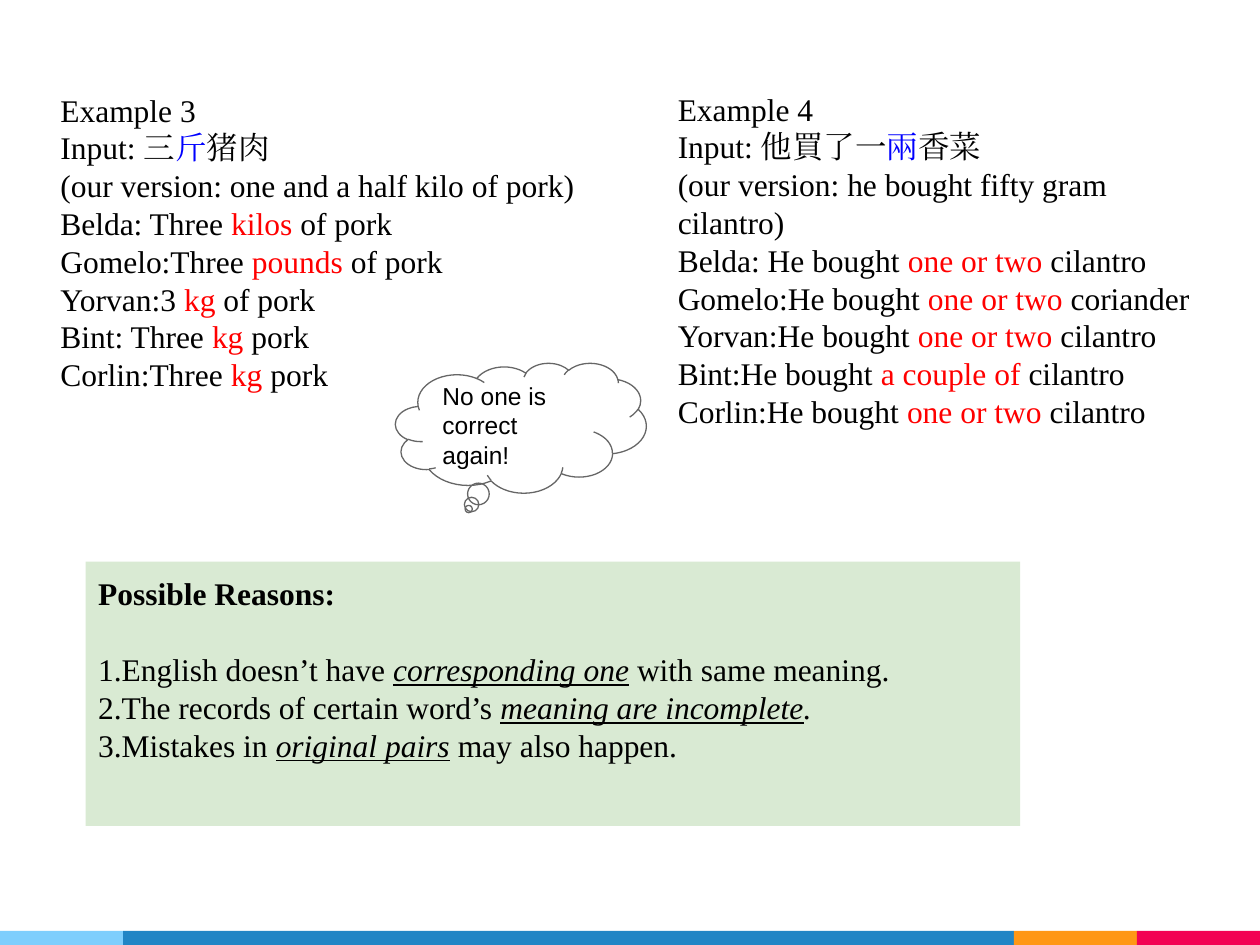
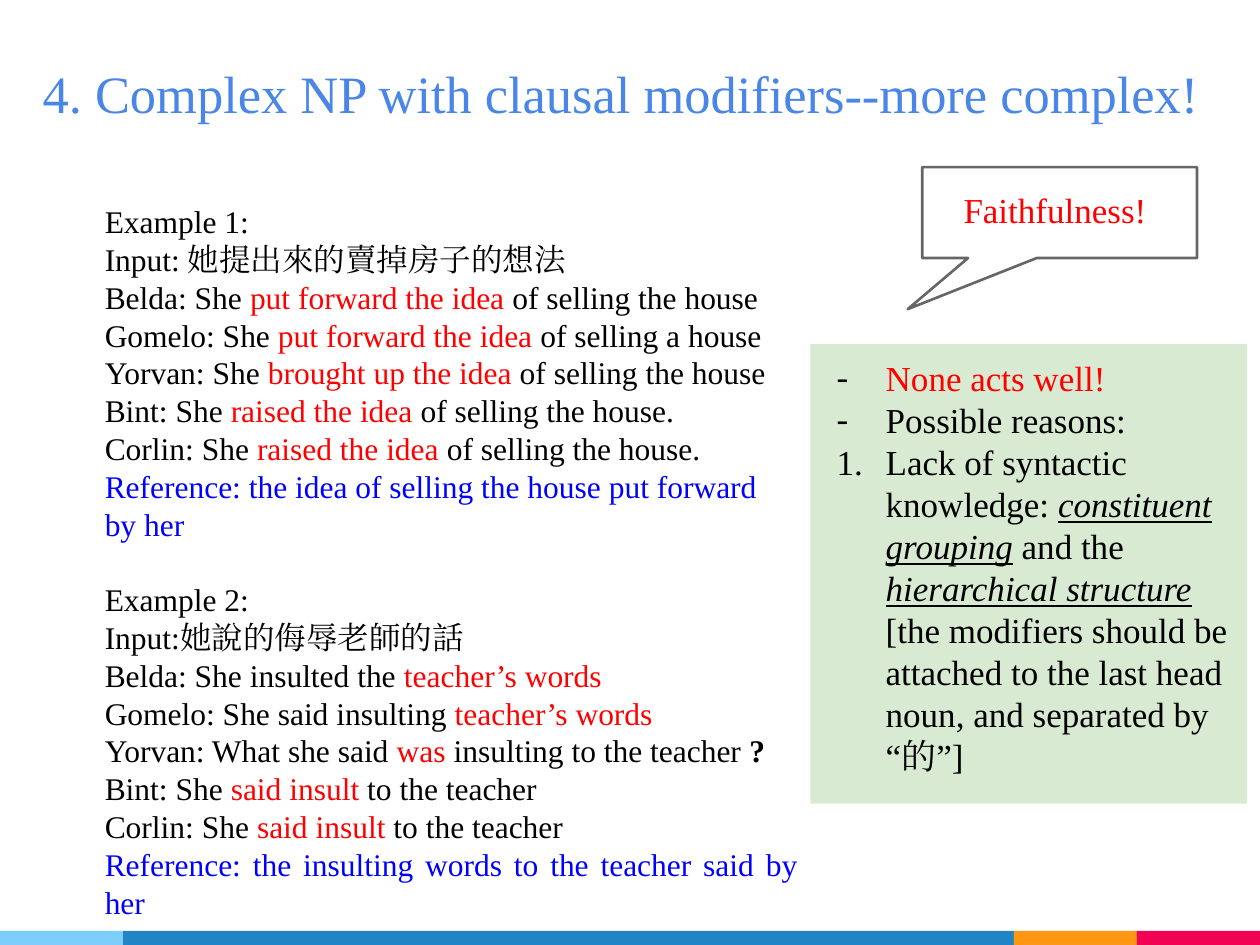
import itertools

import lxml.etree
import pptx
import pptx.dml.color
import pptx.enum.shapes
import pptx.enum.text
import pptx.oxml.ns
import pptx.util

Pt = pptx.util.Pt
SHAPES = pptx.enum.shapes.MSO_SHAPE
ANCHOR = pptx.enum.text.MSO_ANCHOR
ALIGN = pptx.enum.text.PP_ALIGN

SERIF, SANS = "Times New Roman", "Arial"
BLACK, RED, BLUE = "000000", "FF0000", "0000FF"
TITLE_BLUE, PALE_GREEN, OUTLINE_GREY = "4A86E8", "D9EAD3", "666666"
BLANK_LINE = 21.6
INSET = 7.2

# Footer band: colour and width of each section, left to right
FOOTER = [("7ECEFD", 70.4), ("2185C5", 509), ("FF9715", 70.3), ("F20253", 70.3)]

# Marked text is written |k:words|, where k is one of these styles
STYLES = {
    "r": {"color": RED},
    "b": {"color": BLUE},
    "i": {"italic": True, "underline": True},
    "e": {"italic": True},
    "s": {"bold": True},
}

EXAMPLE_3 = [
    "Example 3",
    "Input: 三|b:斤|猪肉",
    "(our version: one and a half kilo of pork)",
    "Belda: Three |r:kilos| of pork",
    "Gomelo:Three |r:pounds| of pork",
    "Yorvan:3 |r:kg| of pork",
    "Bint: Three |r:kg| pork",
    "Corlin:Three |r:kg| pork",
]
EXAMPLE_4 = [
    "Example 4",
    "Input: 他買了一|b:兩|香菜",
    "(our version: he bought fifty gram cilantro)",
    "Belda: He bought |r:one or two| cilantro",
    "Gomelo:He bought |r:one or two| coriander",
    "Yorvan:He bought |r:one or two| cilantro",
    "Bint:He bought |r:a couple of| cilantro",
    "Corlin:He bought |r:one or two| cilantro",
]
REASONS = [
    "|s:Possible Reasons:|",
    "1.English doesn’t have |i:corresponding one| with same meaning.",
    "2.The records of certain word’s |i:meaning are incomplete||e:.|",
    "3.Mistakes in |i:original pairs| may also happen.",
]
CLAUSE_EXAMPLES = [
    "Example 1:",
    "Input: 她提出來的賣掉房子的想法",
    "Belda: She |r:put forward the idea| of selling the house",
    "Gomelo: She |r:put forward the idea| of selling a house",
    "Yorvan: She |r:brought up the idea| of selling the house",
    "Bint: She |r:raised the idea| of selling the house.",
    "Corlin: She |r:raised the idea| of selling the house.",
    "|b:Reference: the idea of selling the house put forward|",
    "|b:by her|",
    "Example 2:",
    "Input:她說的侮辱老師的話",
    "Belda: She insulted the |r:teacher’s words|",
    "Gomelo: She said insulting |r:teacher’s words|",
    "Yorvan: What she said |r:was| insulting to the teacher |s:?|",
    "Bint: She |r:said insult| to the teacher",
    "Corlin: She |r:said insult| to the teacher",
    "|b:Reference: the insulting words to the teacher said by her|",
]
FINDINGS = [
    "|r:None acts well!|",
    "Possible reasons:",
    "Lack of syntactic knowledge: |i:constituent grouping| and the "
    "|i:hierarchical structure| [the modifiers should be attached to the "
    "last head noun, and separated by “的”]",
]


def rgb(hex_color):
    return pptx.dml.color.RGBColor.from_string(hex_color)


def points(box):
    return [Pt(length) for length in box]


def sub(parent, tag, **attributes):
    return lxml.etree.SubElement(parent, pptx.oxml.ns.qn(tag), attributes)


def format_run(run, size, face, color=BLACK, **emphasis):
    run.font.size = Pt(size)
    run.font.name = face
    run.font.color.rgb = rgb(color)
    for name, value in emphasis.items():
        setattr(run.font, name, value)
    sub(run.font._element, "a:ea", typeface=face)


def write(holder, lines, size=18, face=SERIF, color=BLACK, anchor=ANCHOR.TOP):
    """Fill a shape with marked lines and return its paragraphs."""
    frame = holder.text_frame
    frame.word_wrap = True
    frame.vertical_anchor = anchor
    frame.margin_left = frame.margin_right = Pt(INSET)
    frame.margin_top = frame.margin_bottom = Pt(INSET)
    frame.text = "\n".join([""] * len(lines))
    for paragraph, line in zip(frame.paragraphs, lines):
        paragraph.alignment = ALIGN.LEFT
        for index, piece in enumerate(line.split("|")):
            if not piece:
                continue
            style = {"color": color}
            if index % 2:
                style |= STYLES[piece[0]]
                piece = piece[2:]
            run = paragraph.add_run()
            run.text = piece
            format_run(run, size, face, **style)
    return frame.paragraphs


def text_area(slide, box, lines, **style):
    area = slide.shapes.add_textbox(*points(box))
    write(area, lines, **style)
    return area


def outlined_shape(slide, kind, box, fill=None, line=None, weight=0.75):
    shape = slide.shapes.add_shape(kind, *points(box))
    shape.shadow.inherit = False
    if fill:
        shape.fill.solid()
        shape.fill.fore_color.rgb = rgb(fill)
    else:
        shape.fill.background()
    if line:
        shape.line.color.rgb = rgb(line)
        shape.line.width = Pt(weight)
    else:
        shape.line.fill.background()
    return shape


def callout(slide, kind, box, tip, weight):
    bubble = outlined_shape(slide, kind, box, line=OUTLINE_GREY, weight=weight)
    for index, offset in enumerate(tip):
        bubble.adjustments[index] = offset
    return bubble


def footer_band(slide, top=532, height=8):
    widths = [width for _, width in FOOTER]
    lefts = itertools.accumulate(widths, initial=0)
    for (color, width), left in zip(FOOTER, lefts):
        outlined_shape(slide, SHAPES.RECTANGLE, (left, top, width, height), color)


def reasons_panel(slide, box):
    panel = outlined_shape(slide, SHAPES.RECTANGLE, box, PALE_GREEN)
    paragraphs = write(panel, REASONS)
    paragraphs[1].space_before = Pt(BLANK_LINE)


def findings_panel(slide, box):
    panel = outlined_shape(slide, SHAPES.RECTANGLE, box, PALE_GREEN)
    for index, paragraph in enumerate(write(panel, FINDINGS, size=20)):
        properties = paragraph._p.get_or_add_pPr()
        properties.set("marL", str(Pt(36)))
        properties.set("indent", str(Pt(-28)))
        sub(sub(properties, "a:buClr"), "a:srgbClr", val=BLACK)
        sub(properties, "a:buSzPts", val="2000")
        sub(properties, "a:buFont", typeface=SERIF)
        if index < 2:
            sub(properties, "a:buChar", char="-")
        else:
            sub(properties, "a:buAutoNum", type="arabicPeriod")


def clause_examples(slide, box):
    examples = text_area(slide, box, CLAUSE_EXAMPLES)
    first, *others = examples.text_frame.paragraphs
    first.line_spacing = 1.15
    for paragraph in others:
        paragraph.alignment = ALIGN.JUSTIFY
    second_example = CLAUSE_EXAMPLES.index("Example 2:")
    examples.text_frame.paragraphs[second_example].space_before = Pt(BLANK_LINE)


def faithfulness_callout(slide, box):
    left, top, width, _ = box
    text_area(slide, (left + 16.5, top + 5, width - 20, 40),
              ["Faithfulness!"], size=20, color=RED)
    callout(slide, SHAPES.RECTANGULAR_CALLOUT, box, (-0.553, 1.062), 1.5)


def measure_words_slide(slide):
    footer_band(slide)
    # Example 3 starts one line below the top of its area
    pork = text_area(slide, (27.4, 23, 684.7, 488.9), EXAMPLE_3)
    pork.text_frame.margin_top = Pt(INSET + BLANK_LINE)
    reasons_panel(slide, (49, 321, 534, 151))
    # Verdict on the translations
    verdict = callout(slide, SHAPES.CLOUD_CALLOUT, (226, 207.4, 143.3, 74.2),
                      (-0.208, 0.625), 0.75)
    write(verdict, ["No one is correct", "again!"], size=14, face=SANS,
          anchor=ANCHOR.MIDDLE)
    text_area(slide, (380.2, 44, 318.2, 192.2), EXAMPLE_4)


def clausal_modifiers_slide(slide):
    footer_band(slide)
    # Title
    text_area(slide, (17.3, 26, 686.2, 51.8),
              ["4. Complex NP with clausal modifiers--more complex!"],
              size=30, color=TITLE_BLUE, anchor=ANCHOR.BOTTOM)
    clause_examples(slide, (52.8, 105.1, 410.4, 419))
    findings_panel(slide, (463, 196.6, 249.6, 262.6))
    faithfulness_callout(slide, (527, 95.5, 157, 52))


def main():
    deck = pptx.Presentation()
    deck.slide_width, deck.slide_height = Pt(720), Pt(540)
    for build in (measure_words_slide, clausal_modifiers_slide):
        build(deck.slides.add_slide(deck.slide_layouts[6]))
    deck.save("out.pptx")


if __name__ == "__main__":
    main()
